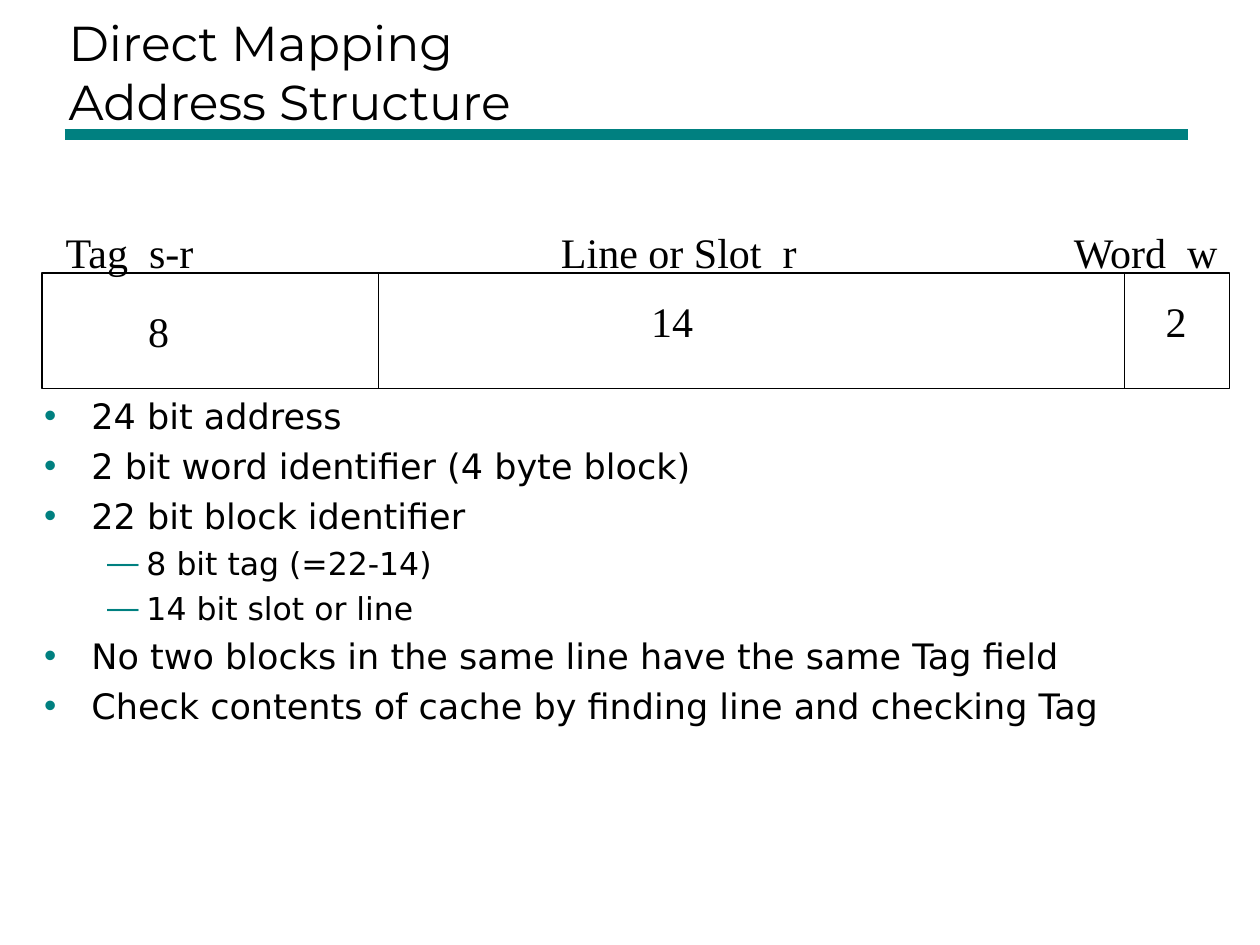
from dataclasses import dataclass

from lxml.etree import SubElement
from pptx import Presentation
from pptx.dml.color import RGBColor
from pptx.enum.shapes import MSO_CONNECTOR, MSO_SHAPE
from pptx.enum.text import MSO_ANCHOR, MSO_AUTO_SIZE, PP_ALIGN
from pptx.oxml.ns import qn
from pptx.util import Pt


@dataclass(frozen=True)
class Theme:
    ink: RGBColor = RGBColor(0, 0, 0)
    accent: RGBColor = RGBColor(0, 0x80, 0x80)
    title_font: str = "Montserrat"
    body_font: str = "DejaVu Sans"
    diagram_font: str = "Times New Roman"
    title_size: float = 28
    diagram_size: float = 24
    body_sizes: tuple = (20, 18)
    rule_width: float = 6
    frame_width: float = 0.75


THEME = Theme()

# Label, bits, field width, label box and bits box (left, top, width within the diagram)
FIELDS = [
    ("Tag  s-r", "8", 192.5, (6.5, -30, 89), (53.5, 15, 26.5)),
    ("Line or Slot  r", "14", 426, (289.5, -30, 149), (341, 9.5, 38.5)),
    ("Word  w", "2", 60, (582.5, -30, 98.5), (635, 9.5, 26.5)),
]

# Level, text
BULLETS = [
    (0, "24 bit address"),
    (0, "2 bit word identifier (4 byte block)"),
    (0, "22 bit block identifier"),
    (1, "8 bit tag (=22-14)"),
    (1, "14 bit slot or line"),
    (0, "No two blocks in the same line have the same Tag field"),
    (0, "Check contents of cache by finding line and checking Tag"),
]

# Bullet character, left margin and hanging indent of each level
LEVELS = [("•", 27, 27), ("—", 58.5, 22.5)]


def put_text(p, text, *, font, size, color=THEME.ink, align=PP_ALIGN.LEFT):
    """Fill a paragraph; a newline becomes a line break."""
    p.alignment = align
    for i, line in enumerate(text.split("\n")):
        if i:
            p.add_line_break()
        r = p.add_run()
        r.text = line
        r.font.name = font
        r.font.size = Pt(size)
        r.font.color.rgb = color


def place(sp, x, y, w, h):
    sp.left, sp.top, sp.width, sp.height = Pt(x), Pt(y), Pt(w), Pt(h)


def add_line(s, x1, y1, x2, y2, color, width):
    cn = s.shapes.add_connector(MSO_CONNECTOR.STRAIGHT, Pt(x1), Pt(y1), Pt(x2), Pt(y2))
    cn.line.color.rgb = color
    cn.line.width = Pt(width)
    SubElement(cn._element.spPr, qn("a:effectLst"))


def add_label(s, text, x, y, w):
    tf = s.shapes.add_textbox(Pt(x), Pt(y), Pt(w), Pt(36)).text_frame
    tf.word_wrap = False
    tf.auto_size = MSO_AUTO_SIZE.SHAPE_TO_FIT_TEXT
    put_text(tf.paragraphs[0], text, font=THEME.diagram_font, size=THEME.diagram_size)


def add_title(s, text, x, y, w, h):
    """Title with the accent rule along its lower edge."""
    add_line(s, x + 5, y + h - 1, x + w + 1, y + h - 1, THEME.accent, THEME.rule_width)
    sp = s.shapes.title
    place(sp, x, y, w, h)
    tf = sp.text_frame
    tf.auto_size = MSO_AUTO_SIZE.NONE
    tf.vertical_anchor = MSO_ANCHOR.BOTTOM
    put_text(tf.paragraphs[0], text, font=THEME.title_font, size=THEME.title_size)


def add_address_diagram(s, fields, x, y, w, h):
    frame = s.shapes.add_shape(MSO_SHAPE.RECTANGLE, Pt(x), Pt(y), Pt(w), Pt(h))
    frame.shadow.inherit = False
    frame.fill.background()
    frame.line.color.rgb = THEME.ink
    frame.line.width = Pt(THEME.frame_width)
    edge = x
    for i, (label, bits, width, label_box, bits_box) in enumerate(fields):
        if i:
            add_line(s, edge, y, edge, y + h, THEME.ink, THEME.frame_width)
        for text, (dx, dy, tw) in ((label, label_box), (bits, bits_box)):
            add_label(s, text, x + dx, y + dy, tw)
        edge += width


def set_bullet(p, char, margin, hanging):
    pPr = p._p.get_or_add_pPr()
    pPr.set("marL", str(Pt(margin)))
    pPr.set("indent", str(-Pt(hanging)))
    SubElement(SubElement(pPr, qn("a:buClr")), qn("a:srgbClr"), val=str(THEME.accent))
    SubElement(pPr, qn("a:buChar"), char=char)


def add_bullets(s, items, x, y, w, h):
    sp = s.placeholders[1]
    place(sp, x, y, w, h)
    tf = sp.text_frame
    tf.auto_size = MSO_AUTO_SIZE.NONE
    for i, (level, text) in enumerate(items):
        p = tf.add_paragraph() if i else tf.paragraphs[0]
        size = THEME.body_sizes[level]
        p.level = level
        p.space_before = Pt(round(size * 0.23, 1))
        put_text(p, text, font=THEME.body_font, size=size)
        set_bullet(p, *LEVELS[level])


def main():
    prs = Presentation()
    prs.slide_width, prs.slide_height = Pt(720), Pt(540)
    s = prs.slides.add_slide(prs.slide_layouts[1])
    add_title(s, "Direct Mapping\nAddress Structure", 32, 12, 646, 66)
    add_address_diagram(s, FIELDS, 24, 156, 678.5, 66)
    add_bullets(s, BULLETS, 18, 222, 662, 255)
    prs.save("out.pptx")


if __name__ == "__main__":
    main()
